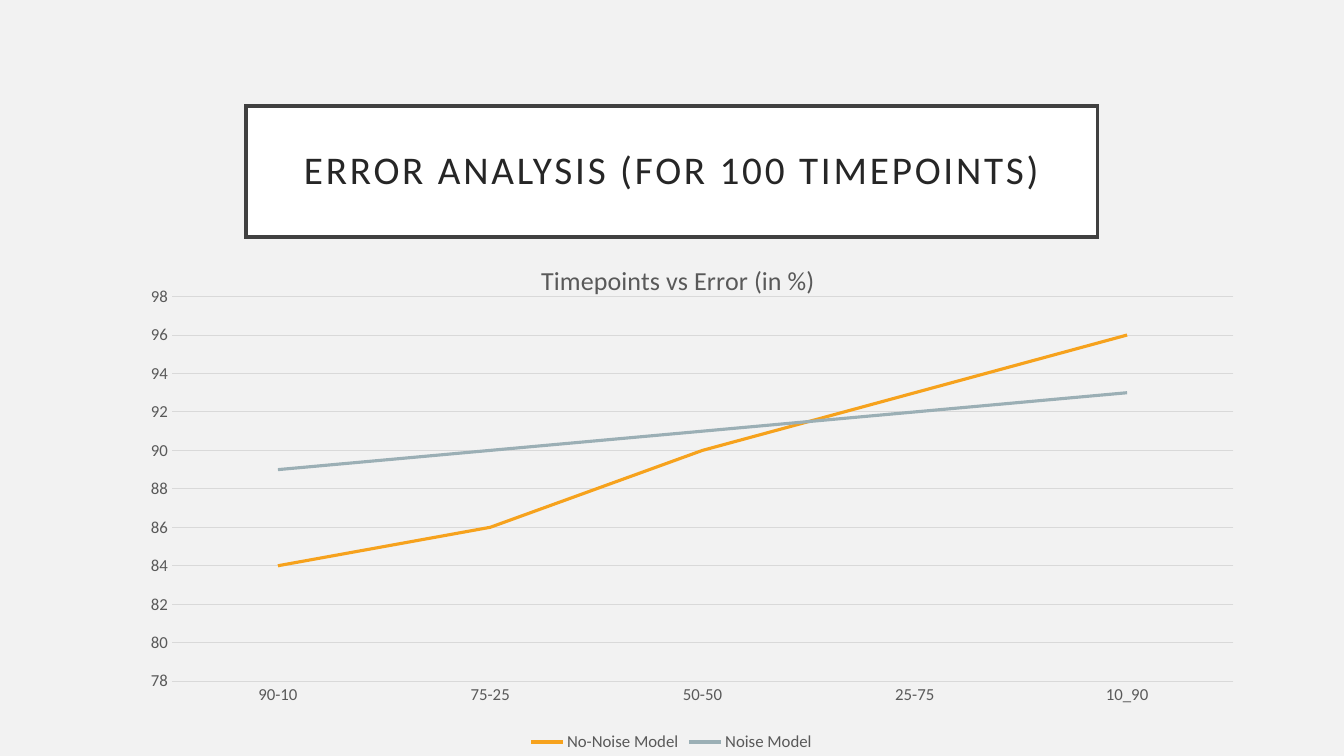
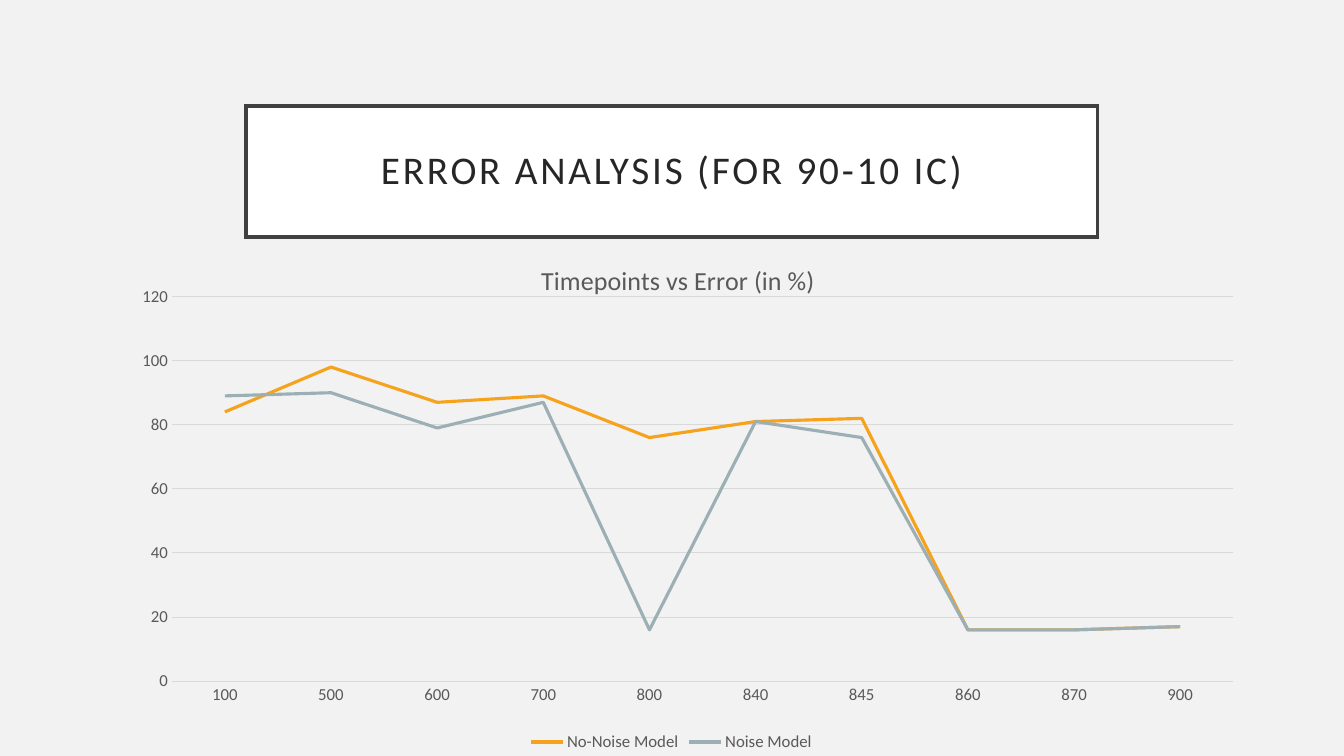
"""Build two slides that compare model error in line charts."""
from lxml.etree import SubElement
from pptx import Presentation
from pptx.chart.data import CategoryChartData
from pptx.dml.color import RGBColor
from pptx.enum.chart import XL_CHART_TYPE, XL_LEGEND_POSITION, XL_MARKER_STYLE, XL_TICK_MARK
from pptx.enum.shapes import MSO_SHAPE
from pptx.enum.text import MSO_ANCHOR, PP_ALIGN
from pptx.oxml import parse_xml
from pptx.oxml.ns import nsdecls, qn
from pptx.util import Cm, Pt

BACKGROUND = RGBColor(0xF2, 0xF2, 0xF2)
WHITE = RGBColor(0xFF, 0xFF, 0xFF)
FRAME = RGBColor(0x40, 0x40, 0x40)
TITLE_INK = RGBColor(0x26, 0x26, 0x26)
CHART_INK = RGBColor(0x59, 0x59, 0x59)
GRID = RGBColor(0xD9, 0xD9, 0xD9)
ORANGE = RGBColor(0xF6, 0xA2, 0x1D)
GREY_BLUE = RGBColor(0x9B, 0xAF, 0xB5)
FONT = "Calibri"
CHART_TITLE = "Timepoints vs Error (in %)"
MODELS = (("No-Noise Model", ORANGE), ("Noise Model", GREY_BLUE))

SLIDES = (
    {
        "title": "ERROR ANALYSIS (FOR 100 TIMEPOINTS)",
        "categories": ("90-10", "75-25", "50-50", "25-75", "10_90"),
        "errors": ((84, 86, 90, 93, 96), (89, 90, 91, 92, 93)),
        "scale": (78, 98, 2),
    },
    {
        "title": "ERROR ANALYSIS (FOR 90-10 IC)",
        "categories": ("100", "500", "600", "700", "800", "840", "845", "860", "870", "900"),
        "errors": (
            (84, 98, 87, 89, 76, 81, 82, 16, 16, 17),
            (89, 90, 79, 87, 16, 81, 76, 16, 16, 17),
        ),
        "scale": (0, 120, 20),
    },
)


def style_font(font, size, color):
    """Apply the shared typeface with a size and colour."""
    font.name = FONT
    font.size = Pt(size)
    font.bold = False
    font.color.rgb = color


def style_line(line, color, width):
    """Give a line a solid colour and a width in points."""
    line.color.rgb = color
    line.width = Pt(width)


def set_layout(parent, index, target="", **fractions):
    """Place a chart part by fractions of the chart's size."""
    for old in parent.findall(qn("c:layout")):
        parent.remove(old)
    layout = parse_xml(f"<c:layout {nsdecls('c')}><c:manualLayout/></c:layout>")
    settings = {"layoutTarget": target} if target else {}
    settings.update(xMode="edge", yMode="edge", **fractions)
    for name, value in settings.items():
        SubElement(layout[0], qn(f"c:{name}")).set("val", str(value))
    parent.insert(index, layout)


def add_title(slide, text):
    """Add the framed slide title."""
    box = slide.shapes.add_shape(MSO_SHAPE.RECTANGLE, Cm(6.2), Cm(2.67), Cm(21.46), Cm(3.3))
    box.shadow.inherit = False
    box.fill.solid()
    box.fill.fore_color.rgb = WHITE
    style_line(box.line, FRAME, 2.5)
    SubElement(box.line._get_or_add_ln(), qn("a:miter")).set("lim", "800000")
    frame = box.text_frame
    frame.text = text
    frame.word_wrap = True
    frame.vertical_anchor = MSO_ANCHOR.MIDDLE
    frame.margin_left = frame.margin_right = frame.margin_top = frame.margin_bottom = Cm(0.5)
    paragraph = frame.paragraphs[0]
    paragraph.alignment = PP_ALIGN.CENTER
    paragraph.line_spacing = 0.9
    run = paragraph.runs[0]
    style_font(run.font, 28, TITLE_INK)
    run.font._element.set("spc", "200")


def style_axes(chart, scale):
    """Format both axes and set the range of the error axis."""
    for axis in (chart.category_axis, chart.value_axis):
        axis.major_tick_mark = axis.minor_tick_mark = XL_TICK_MARK.NONE
        style_font(axis.tick_labels.font, 12, CHART_INK)
    style_line(chart.category_axis.format.line, GRID, 0.75)
    error_axis = chart.value_axis
    error_axis.minimum_scale, error_axis.maximum_scale, error_axis.major_unit = scale
    error_axis.format.line.fill.background()
    error_axis.has_major_gridlines = True
    style_line(error_axis.major_gridlines.format.line, GRID, 0.75)


def add_error_chart(slide, categories, errors, scale):
    """Add the line chart of both models' errors."""
    data = CategoryChartData()
    data.categories = categories
    for (model, _), values in zip(MODELS, errors):
        data.add_series(model, values)
    chart = slide.shapes.add_chart(
        XL_CHART_TYPE.LINE, Cm(2.74), Cm(5.97), Cm(28.37), Cm(13.08), data
    ).chart
    style_font(chart.font, 12, CHART_INK)
    chart.has_title = True
    heading = chart.chart_title.text_frame
    heading.text = CHART_TITLE
    style_font(heading.paragraphs[0].runs[0].font, 18.6, CHART_INK)
    chart.chart_title.include_in_layout = False
    set_layout(chart.chart_title._element, 1, x=0.38, y=0.04)
    plot_area = chart._chartSpace.chart.plotArea
    set_layout(plot_area, 0, "inner", x=0.056, y=0.115, w=0.943, h=0.741)
    chart.has_legend = True
    chart.legend.position = XL_LEGEND_POSITION.BOTTOM
    chart.legend.include_in_layout = False
    style_font(chart.legend.font, 12, CHART_INK)
    style_axes(chart, scale)
    chart.plots[0].vary_by_categories = False
    for series, (_, color) in zip(chart.plots[0].series, MODELS):
        series.smooth = False
        series.marker.style = XL_MARKER_STYLE.NONE
        style_line(series.format.line, color, 2.25)


def main():
    """Build and save the presentation."""
    presentation = Presentation()
    presentation.slide_width = Cm(33.87)
    presentation.slide_height = Cm(19.05)
    for content in SLIDES:
        slide = presentation.slides.add_slide(presentation.slide_layouts[6])
        slide.background.fill.solid()
        slide.background.fill.fore_color.rgb = BACKGROUND
        add_title(slide, content["title"])
        add_error_chart(slide, content["categories"], content["errors"], content["scale"])
    presentation.save("out.pptx")


if __name__ == "__main__":
    main()
